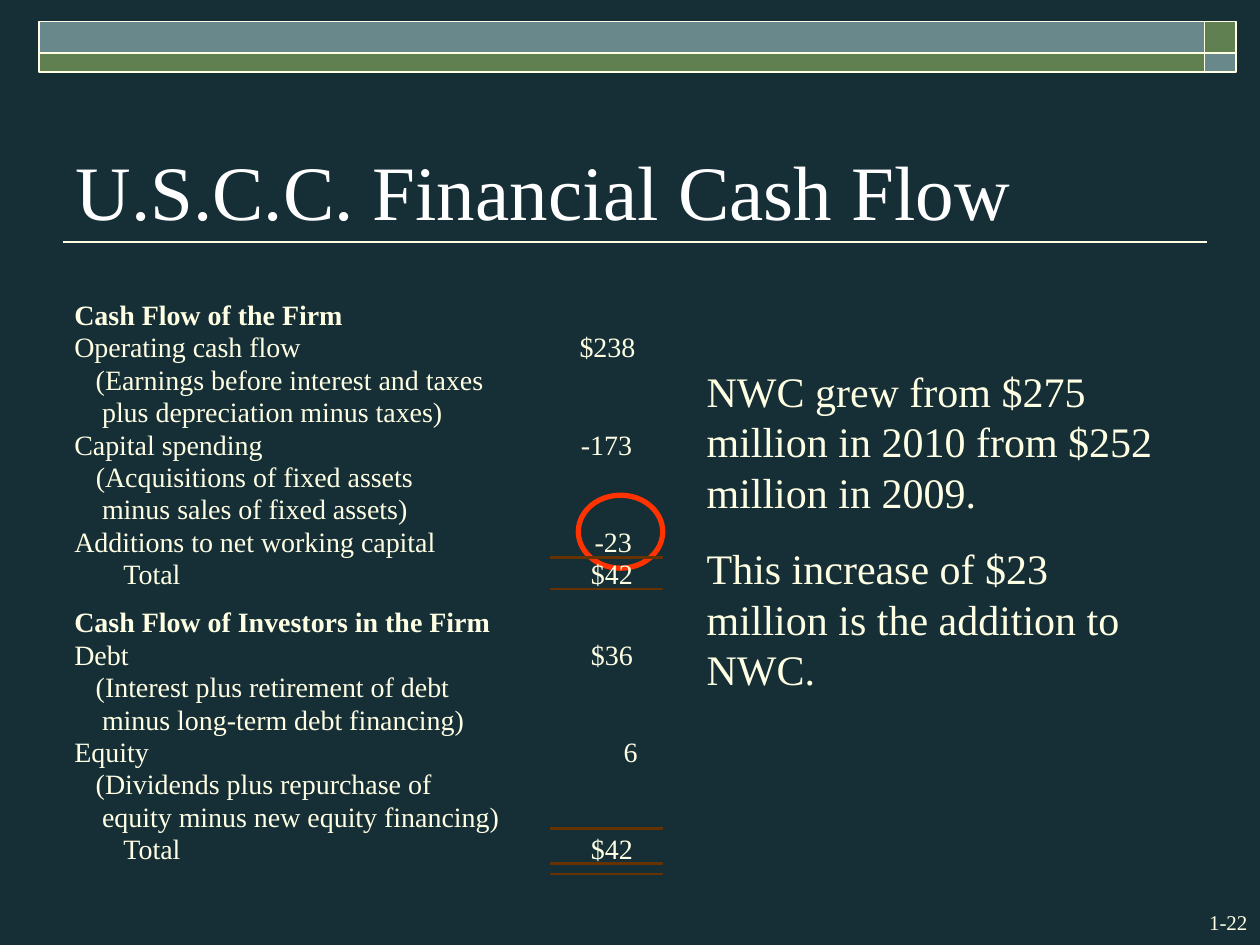
from pptx import Presentation
from pptx.dml.color import RGBColor
from pptx.enum.shapes import MSO_CONNECTOR, MSO_SHAPE
from pptx.enum.text import MSO_ANCHOR, MSO_AUTO_SIZE, PP_ALIGN
from pptx.oxml.ns import qn
from pptx.util import Inches, Pt
from lxml import etree

CREAM, GREEN, TEAL = "FFFFE3", "618052", "69888B"


def color(hex_string):
    return RGBColor.from_string(hex_string)


def write(shape, texts, size, hex_string=CREAM, bold=False, wrap=True, inset=None):
    """Fill a text shape with one run per paragraph; an inset replaces all margins."""
    frame = shape.text_frame
    frame.word_wrap = wrap
    frame.auto_size = MSO_AUTO_SIZE.NONE
    if inset is not None:
        frame.margin_left = Inches(inset)
        frame.margin_top = frame.margin_right = frame.margin_bottom = 0
    for index, text in enumerate(texts):
        paragraph = frame.add_paragraph() if index else frame.paragraphs[0]
        paragraph.alignment = PP_ALIGN.LEFT
        run = paragraph.add_run()
        run.text = text
        run.font.name = "Times New Roman"
        run.font.size = Pt(size)
        run.font.bold = bold
        run.font.color.rgb = color(hex_string)
    return frame


presentation = Presentation()
presentation.slide_width, presentation.slide_height = Inches(10), Inches(7.5)
slide = presentation.slides.add_slide(presentation.slide_layouts[5])
slide.background.fill.solid()
slide.background.fill.fore_color.rgb = color("162E36")
shapes = slide.shapes

# Title, its underline and the banner
title = shapes.title
title.left, title.top = Inches(0.5), Inches(0.67)
title.width, title.height = Inches(8.73), Inches(1.25)
write(title, ["U.S.C.C. Financial Cash Flow"], 44, "FFFFFF")
title.text_frame.vertical_anchor = MSO_ANCHOR.BOTTOM

underline = shapes.add_connector(
    MSO_CONNECTOR.STRAIGHT, Inches(9.58), Inches(1.92), Inches(0.5), Inches(1.92))
underline.line.color.rgb = color(CREAM)
underline.line.width = Pt(1)
etree.SubElement(underline._element.spPr, qn("a:effectLst"))

for left, top, width, height, fill in [
    (9.56, 0.17, 0.25, 0.25, GREEN),
    (0.31, 0.17, 9.25, 0.25, TEAL),
    (0.31, 0.42, 9.25, 0.15, GREEN),
    (9.56, 0.42, 0.25, 0.15, TEAL),
]:
    band = shapes.add_shape(
        MSO_SHAPE.RECTANGLE, Inches(left), Inches(top), Inches(width), Inches(height))
    band.shadow.inherit = False
    band.fill.solid()
    band.fill.fore_color.rgb = color(fill)
    band.line.color.rgb = color(CREAM)
    band.line.width = Pt(1)

number = shapes.add_textbox(Inches(9.17), Inches(7.17), Inches(0.83), Inches(0.3))
write(number, ["1-22"], 12).paragraphs[0].alignment = PP_ALIGN.RIGHT

# Cash flow statement: label, label width, indent, amount (text, left, width)
firm = [
    ("Cash Flow of the Firm", 2.13, 0, None),
    ("Operating cash flow", 1.8, 0, ("$238", 4.6, 0.44)),
    ("(Earnings before interest and taxes", 3.24, 0.17, None),
    ("plus depreciation minus taxes)", 2.92, 0.22, None),
    ("Capital spending", 1.5, 0, ("-173", 4.61, 0.41)),
    ("(Acquisitions of fixed assets", 2.69, 0.17, None),
    ("minus sales of fixed assets)", 2.65, 0.22, None),
    ("Additions to net working capital", 2.87, 0, ("-23", 4.72, 0.3)),
    ("Total", 0.86, 0.39, ("$42", 4.69, 0.33)),
]
investors = [
    ("Cash Flow of Investors in the Firm", 3.3, 0, None),
    ("Debt", 0.43, 0, ("$36", 4.69, 0.33)),
    ("(Interest plus retirement of debt", 2.97, 0.17, None),
    ("minus long-term debt financing)", 3.1, 0.22, None),
    ("Equity", 0.59, 0, ("6", 4.95, 0.11)),
    ("(Dividends plus repurchase of", 2.83, 0.17, None),
    ("equity minus new equity financing)", 3.37, 0.22, None),
    ("Total", 0.86, 0.39, ("$42", 4.69, 0.33)),
]
row_pitch = (4.42 - 2.36) / 8
row_height = Inches(0.27)
amounts = []
for section_top, rows in [(2.36, firm), (4.8, investors)]:
    for index, (label, width, indent, amount) in enumerate(rows):
        top = Inches(section_top + index * row_pitch)
        box = shapes.add_textbox(Inches(0.59), top, Inches(width), row_height)
        write(box, [label], 16, bold=index == 0, wrap=False, inset=indent)
        if amount:
            amounts.append((top, *amount))

explanation = shapes.add_textbox(Inches(5.51), Inches(2.85), Inches(3.75), Inches(2.71))
frame = write(explanation, [
    "NWC grew from $275 million in 2010 from $252 million in 2009.",
    "This increase of $23 million is the addition to NWC.",
], 24)
for paragraph in frame.paragraphs:
    paragraph.space_before = Pt(15)

highlight = shapes.add_shape(
    MSO_SHAPE.OVAL, Inches(4.59), Inches(3.93), Inches(0.67), Inches(0.58))
highlight.shadow.inherit = False
highlight.fill.background()
highlight.line.color.rgb = color("FF3300")
highlight.line.width = Pt(3)

for top, text, left, width in amounts:
    box = shapes.add_textbox(Inches(left), top, Inches(width), row_height)
    write(box, [text], 16, wrap=False, inset=0)

for top in (4.42, 4.67, 6.57, 6.85, 6.93):
    rule = shapes.add_shape(
        MSO_SHAPE.RECTANGLE, Inches(4.37), Inches(top), Inches(0.89), Inches(0.01))
    rule.shadow.inherit = False
    rule.fill.solid()
    rule.fill.fore_color.rgb = color("000000")
    rule.line.color.rgb = color("663300")
    rule.line.width = Pt(0.75)

presentation.save("out.pptx")
